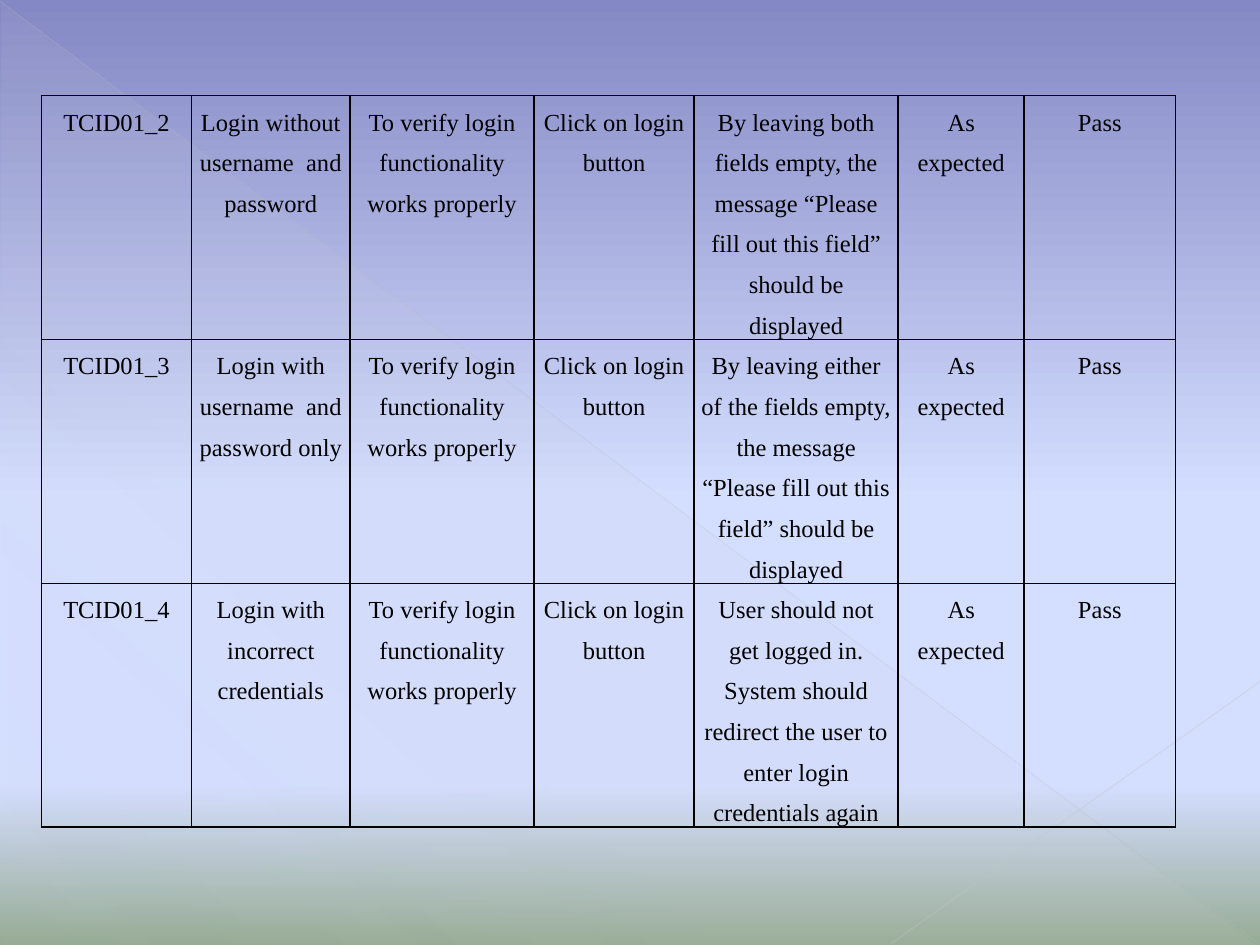
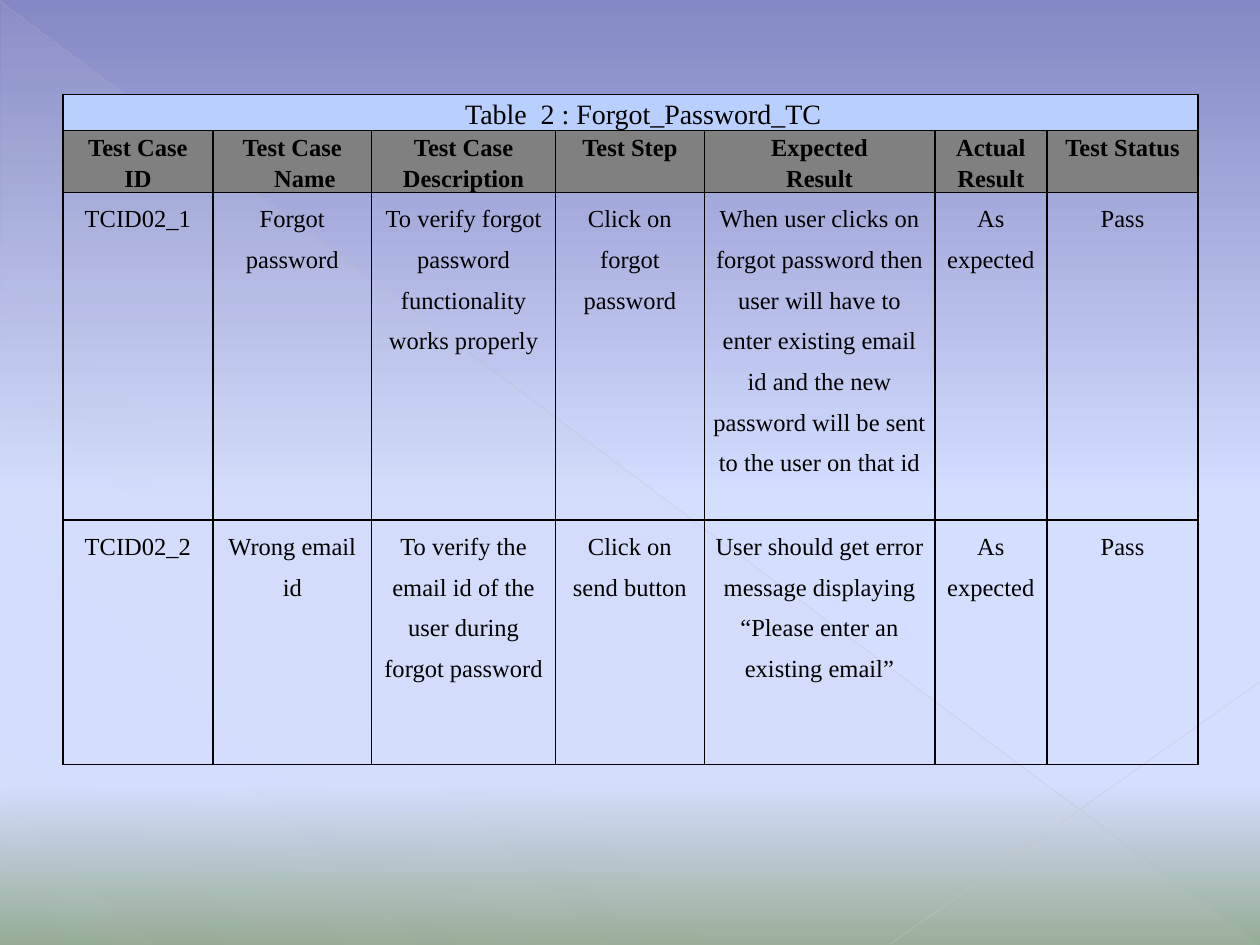
from lxml import etree
from pptx import Presentation
from pptx import util as u
from pptx.dml import color
from pptx.enum import shapes, text
from pptx.oxml import parse_xml
from pptx.oxml.ns import nsdecls, qn

HUES = {
    "ink": "000000", "caption": "B9D0FF", "head": "808080",
    "dusk": "8488C4", "sky": "D4DEFF", "grass": "96AB94",
    "haze": "D2D2D2", "slope": "BFBFBF", "rise": "C6C6C6",
}
FONT = "Times New Roman"
VERIFY = "To verify login functionality works properly"
LOGIN = "Click on login button"
DONE = ["As expected", "Pass"]

LOGIN_ROWS = [
    ["TCID01_2", "Login without username  and password", VERIFY, LOGIN,
     "By leaving both fields empty, the message “Please fill out this field” "
     "should be displayed"],
    ["TCID01_3", "Login with username  and password only", VERIFY, LOGIN,
     "By leaving either of the fields empty, the message “Please fill out this "
     "field” should be displayed"],
    ["TCID01_4", "Login with incorrect credentials", VERIFY, LOGIN,
     "User should not get logged in. System should redirect the user to enter "
     "login credentials again"],
]
FORGOT_ROWS = [
    ["TCID02_1", "Forgot password",
     "To verify forgot password functionality works properly",
     "Click on forgot password",
     "When user clicks on forgot password then user will have to enter existing "
     "email id and the new password will be sent to the user on that id"],
    ["TCID02_2", "Wrong email id",
     "To verify the email id of the user during forgot password",
     "Click on send button",
     "User should get error message displaying “Please enter an existing email”"],
]
HEADS = [
    [("Test Case", 1, -1), ("ID", 1, -1)],
    [("Test Case", 0, 0), ("Name", 0, 0.2)],
    [("Test Case", 0, 0), ("Description", 0, 0)],
    [("Test Step", 0, 0)],
    [("Expected", 0, 0), ("Result", 0, 0)],
    [("Actual", 0, 0), ("Result", 0, 0)],
    [("Test Status", 0, 0)],
]


def rgb(hue):
    return color.RGBColor.from_string(HUES[hue])


def fade(old, stops, angle):
    marks = "".join(
        f'<a:gs pos="{pos * 1000}"><a:srgbClr val="{HUES[hue]}">'
        f'<a:alpha val="{alpha * 1000}"/></a:srgbClr></a:gs>'
        for pos, hue, alpha in stops)
    new = parse_xml(
        f'<a:gradFill {nsdecls("a")} rotWithShape="1"><a:gsLst>{marks}</a:gsLst>'
        f'<a:lin ang="{angle * 60000}" scaled="0"/></a:gradFill>')
    old.getparent().replace(old, new)


def add_slope(slide, start, end, hue, width, alpha):
    ends = [u.Inches(n) for n in (*start, *end)]
    line = slide.shapes.add_connector(shapes.MSO_CONNECTOR.STRAIGHT, *ends)
    line.line.width = u.Pt(width)
    line.line.color.rgb = rgb(hue)
    tint = line.element.xpath(".//a:ln//a:srgbClr")[0]
    etree.SubElement(tint, qn("a:alpha")).set("val", str(alpha * 1000))
    etree.SubElement(line.element.spPr, qn("a:effectLst"))
    return line


def add_haze(slide):
    box = [u.Inches(n) for n in (0.01, 0.02, 9.98, 7.48)]
    haze = slide.shapes.add_shape(shapes.MSO_SHAPE.RIGHT_TRIANGLE, *box)
    haze.shadow.inherit = False
    haze.line.fill.background()
    haze.fill.solid()
    fade(haze.element.xpath("./p:spPr/a:solidFill")[0],
         [(0, "haze", 10), (70, "haze", 8), (100, "haze", 1)], 133)
    return haze


def dress(master, slide):
    master.background.fill.solid()
    fade(master.element.xpath(".//p:bgPr/a:solidFill")[0],
         [(0, "dusk", 100), (53, "sky", 100), (83, "sky", 100),
          (100, "grass", 100)], 90)
    decor = [
        add_haze(slide),
        add_slope(slide, (0, 0.01), (9.99, 7.49), "slope", 0.39, 35),
        add_slope(slide, (10, 5.41), (7.07, 7.49), "rise", 0.47, 45),
    ]
    for num, item in enumerate(decor, 20):
        item.element.xpath(".//p:cNvPr")[0].set("id", str(num))
        master.shapes.element.append(item.element)


def edge(cell):
    props = cell._tc.get_or_add_tcPr()
    for spot, side in enumerate("LRTB"):
        props.insert(spot, parse_xml(
            f'<a:ln{side} {nsdecls("a")} w="12700"><a:solidFill>'
            f'<a:srgbClr val="{HUES["ink"]}"/></a:solidFill></a:ln{side}>'))


def write(cell, lines, size=14, bold=False, space=1.5):
    frame = cell.text_frame
    for num, (words, left, first) in enumerate(lines):
        para = frame.add_paragraph() if num else frame.paragraphs[0]
        para.alignment = text.PP_ALIGN.CENTER
        para.line_spacing = space
        props = para._p.get_or_add_pPr()
        props.set("marL", str(u.Inches(left)))
        props.set("indent", str(u.Inches(first)))
        run = para.add_run()
        run.text = words
        run.font.name = FONT
        run.font.size = u.Pt(size)
        run.font.bold = bold
        run.font.color.rgb = rgb("ink")


def add_grid(slide, left, top, cols, rows, inset):
    frame = slide.shapes.add_table(
        len(rows), len(cols), u.Inches(left), u.Inches(top),
        u.Inches(sum(cols)), u.Inches(sum(rows)))
    grid = frame.table
    grid.first_row = grid.horz_banding = False
    for col, width in zip(grid.columns, cols):
        col.width = u.Inches(width)
    for row, height in zip(grid.rows, rows):
        row.height = u.Inches(height)
    for cell in grid.iter_cells():
        cell.margin_left = cell.margin_right = u.Inches(inset)
        cell.margin_top = cell.margin_bottom = 0
        cell.fill.background()
        edge(cell)
    return grid


def paint(cell, hue):
    cell.fill.solid()
    cell.fill.fore_color.rgb = rgb(hue)


def fill_cases(grid, cases, start=0):
    for row, case in enumerate(cases, start):
        for col, words in enumerate(case + DONE):
            write(grid.cell(row, col), [(words, 0, 0)])


def fill_heads(grid, title):
    top = grid.cell(0, 0)
    top.merge(grid.cell(0, len(HEADS) - 1))
    paint(top, "caption")
    write(top, [(title, 0, 0.2)], size=16, space=1.15)
    for col, lines in enumerate(HEADS):
        cell = grid.cell(1, col)
        paint(cell, "head")
        write(cell, lines, bold=True, space=1.15)


def main():
    deck = Presentation()
    deck.slide_width, deck.slide_height = u.Inches(10), u.Inches(7.5)
    blank = deck.slide_layouts[6]
    login = deck.slides.add_slide(blank)
    dress(deck.slide_master, login)
    grid = add_grid(login, 0.33, 0.76,
                    [1.19, 1.26, 1.46, 1.27, 1.62, 1, 1.2], [1.44] * 3, 0.05)
    fill_cases(grid, LOGIN_ROWS)

    forgot = deck.slides.add_slide(blank)
    grid = add_grid(forgot, 0.5, 0.75,
                    [1.19, 1.26, 1.46, 1.18, 1.83, 0.89, 1.2],
                    [0.17, 0.42, 2.6, 1.94], 0.06)
    fill_heads(grid, "Table  2 : Forgot_Password_TC")
    fill_cases(grid, FORGOT_ROWS, 2)
    deck.save("out.pptx")


if __name__ == "__main__":
    main()
